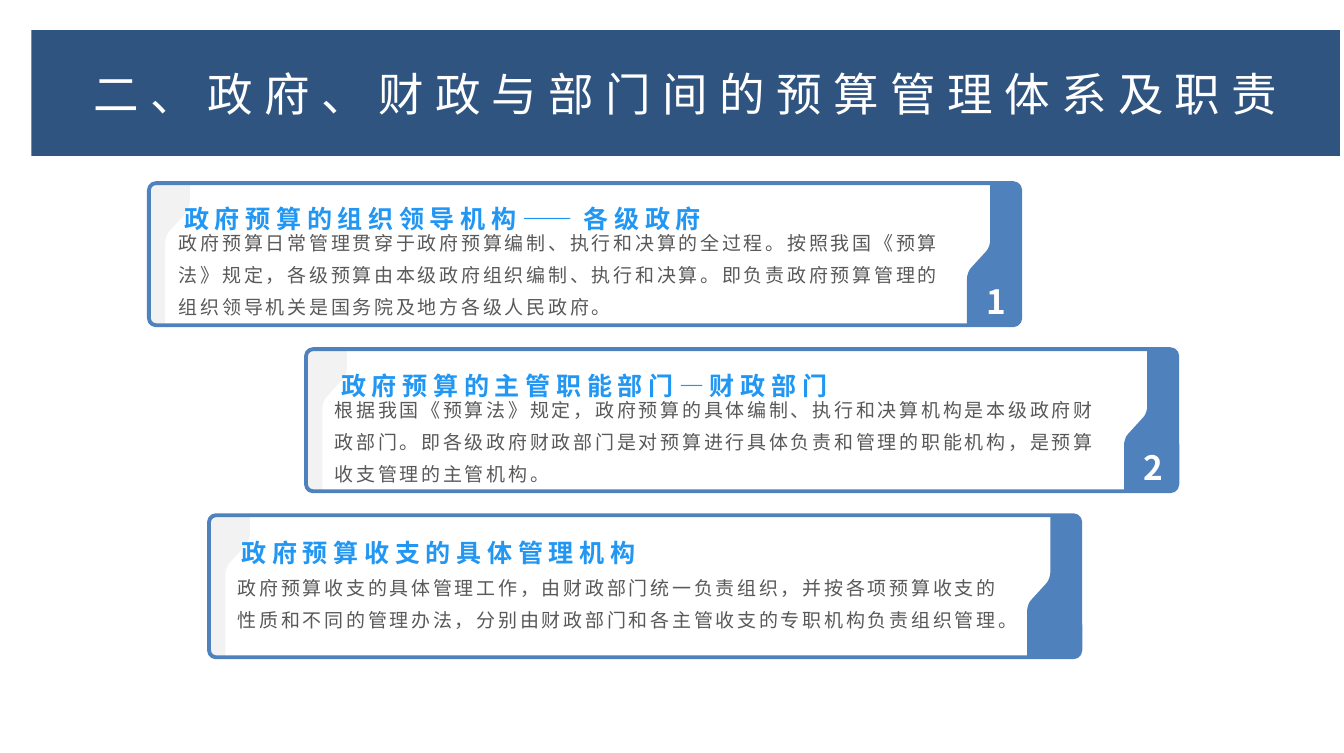
from pptx import Presentation
from pptx.dml.color import RGBColor
from pptx.enum import shapes, text
from pptx.oxml.ns import qn
from pptx.util import Inches, Pt

NAVY = RGBColor(0x30, 0x54, 0x80)
BLUE = RGBColor(0x4F, 0x81, 0xBD)
BRIGHT = RGBColor(0x21, 0x96, 0xF3)
PALE = RGBColor(0xF2, 0xF2, 0xF2)
GREY = RGBColor(0x59, 0x59, 0x59)
WHITE = RGBColor(0xFF, 0xFF, 0xFF)
FONT = "Noto Sans CJK SC"

CARD_W, CARD_H, CARD_TOP, CARD_STEP = 6.38, 1.04, 1.34, 1.215

# Outlines relative to the card corner: a pair is a corner, a triple of pairs a Bézier curve
FOLD = [(0.04, 0), ((0.02, 0), (0, 0.03), (0, 0.05)),
        (0, 0.99), ((0, 1.02), (0.02, 1.04), (0.04, 1.04)),
        (0.12, 1.04), (0.12, 0.43), ((0.12, 0.4), (0.14, 0.36), (0.15, 0.35)),
        (0.27, 0.22), ((0.28, 0.2), (0.3, 0.17), (0.3, 0.14)), (0.3, 0)]
TAB = [(6.34, 1.04), ((6.36, 1.04), (6.38, 1.02), (6.38, 0.99)),
       (6.38, 0.05), ((6.38, 0.03), (6.36, 0.01), (6.34, 0.01)),
       (6.16, 0.01), (6.16, 0.42), ((6.16, 0.44), (6.15, 0.48), (6.13, 0.5)),
       (6.02, 0.62), ((6, 0.64), (5.99, 0.68), (5.99, 0.7)), (5.99, 1.04)]

# left edge, number, heading, heading box, explanation, explanation box (left, top, width)
CARDS = [
    (1.09, "1", "政府预算的组织领导机构——各级政府", (1.25, 1.41, 5.82),
     "政府预算日常管理贯穿于政府预算编制、执行和决算的全过程。按照我国《预算法》规定，"
     "各级预算由本级政府组织编制、执行和决算。即负责政府预算管理的组织领导机关是国务院及地方各级人民政府。",
     (1.24, 1.63, 5.84)),
    (2.24, "2", "政府预算的主管职能部门—财政部门", (2.4, 2.63, 5.82),
     "根据我国《预算法》规定，政府预算的具体编制、执行和决算机构是本级政府财政部门。"
     "即各级政府财政部门是对预算进行具体负责和管理的职能机构，是预算收支管理的主管机构。",
     (2.38, 2.85, 5.84)),
    (1.53, None, "政府预算收支的具体管理机构", (1.67, 3.85, 5.84),
     "政府预算收支的具体管理工作，由财政部门统一负责组织，并按各项预算收支的性质和不同的管理办法，"
     "分别由财政部门和各主管收支的专职机构负责组织管理。",
     (1.67, 4.15, 5.83)),
]

prs = Presentation()
prs.slide_width, prs.slide_height = Inches(9.84), Inches(5.51)
slide = prs.slides.add_slide(prs.slide_layouts[5])


def write(box, words, size, color, insets, bold=False, spacing=0,
          align=text.PP_ALIGN.LEFT, anchor=text.MSO_ANCHOR.TOP, leading=None):
    """Fill a box with one run; insets are left, top, right, bottom in inches."""
    frame = box.text_frame
    frame.word_wrap = True
    frame.auto_size = text.MSO_AUTO_SIZE.NONE
    frame.vertical_anchor = anchor
    (frame.margin_left, frame.margin_top,
     frame.margin_right, frame.margin_bottom) = map(Inches, insets)
    paragraph = frame.paragraphs[0]
    paragraph.alignment = align
    if leading:
        paragraph.line_spacing = leading
    run = paragraph.add_run()
    run.text = words
    run.font.size, run.font.bold, run.font.name = Pt(size), bold, FONT
    run.font.color.rgb = color
    properties = run.font._element
    properties.set("lang", "zh-CN")
    properties.set("spc", str(int(spacing * 100)))
    east_asian = properties.makeelement(qn("a:ea"), {"typeface": FONT})
    properties.find(qn("a:latin")).addnext(east_asian)


def draw_outline(outline, left, top, color):
    points = [outline[0]]
    for step in outline[1:]:
        if len(step) == 2:
            points.append(step)
            continue
        curve = [points[-1], *step]
        for t in (0.25, 0.5, 0.75, 1):
            weights = ((1 - t) ** 3, 3 * t * (1 - t) ** 2, 3 * t * t * (1 - t), t ** 3)
            points.append(tuple(sum(w * p[axis] for w, p in zip(weights, curve))
                                for axis in (0, 1)))
    corners = [(Inches(left + x), Inches(top + y)) for x, y in points]
    builder = slide.shapes.build_freeform(*corners[0])
    builder.add_line_segments(corners[1:], close=True)
    shape = builder.convert_to_shape()
    shape.shadow.inherit = False
    shape.fill.solid()
    shape.fill.fore_color.rgb = color
    shape.line.fill.background()


title = slide.shapes.title
title.left, title.top, title.width, title.height = map(Inches, (0.23, 0.22, 9.58, 0.92))
title.fill.solid()
title.fill.fore_color.rgb = NAVY
write(title, "二、政府、财政与部门间的预算管理体系及职责", 24, WHITE, (0.09, 0.04, 0.09, 0.04),
      spacing=6, align=text.PP_ALIGN.CENTER, anchor=text.MSO_ANCHOR.MIDDLE)

for index, (left, number, heading, heading_at, explanation, explanation_at) in enumerate(CARDS):
    top = CARD_TOP + index * CARD_STEP
    draw_outline(FOLD, left, top, PALE)
    border = slide.shapes.add_shape(shapes.MSO_SHAPE.ROUNDED_RECTANGLE,
                                    *map(Inches, (left, top, CARD_W, CARD_H)))
    border.adjustments[0] = 0.05
    border.shadow.inherit = False
    border.fill.background()
    border.line.color.rgb = BLUE
    border.line.width = Pt(2)
    draw_outline(TAB, left, top, BLUE)

    if number:
        number_box = slide.shapes.add_textbox(*map(Inches, (left + 5.99, top + 0.67, 0.43, 0.4)))
        write(number_box, number, 17.6, WHITE, (0.1, 0.05, 0.1, 0.05), bold=True,
              align=text.PP_ALIGN.CENTER)
    explanation_box = slide.shapes.add_textbox(*map(Inches, (*explanation_at, 0.53)))
    write(explanation_box, explanation, 10, GREY, (0.07, 0, 0.1, 0.05), spacing=1.5, leading=1.4)
    heading_box = slide.shapes.add_textbox(*map(Inches, (*heading_at, 0.3)))
    write(heading_box, heading, 13.2, BRIGHT, (0.1, 0.05, 0.1, 0), bold=True, spacing=3,
          anchor=text.MSO_ANCHOR.BOTTOM)

prs.save("out.pptx")
